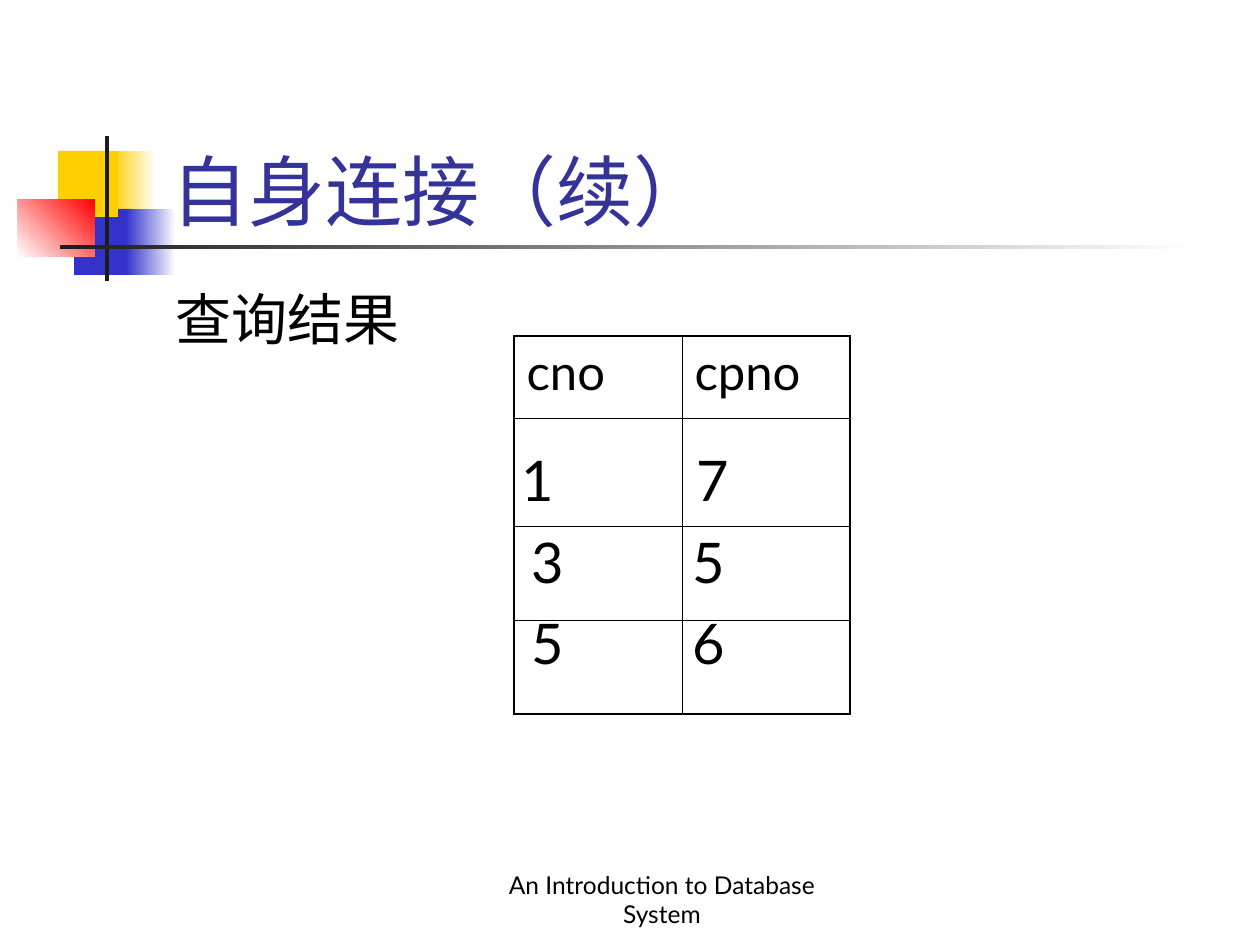
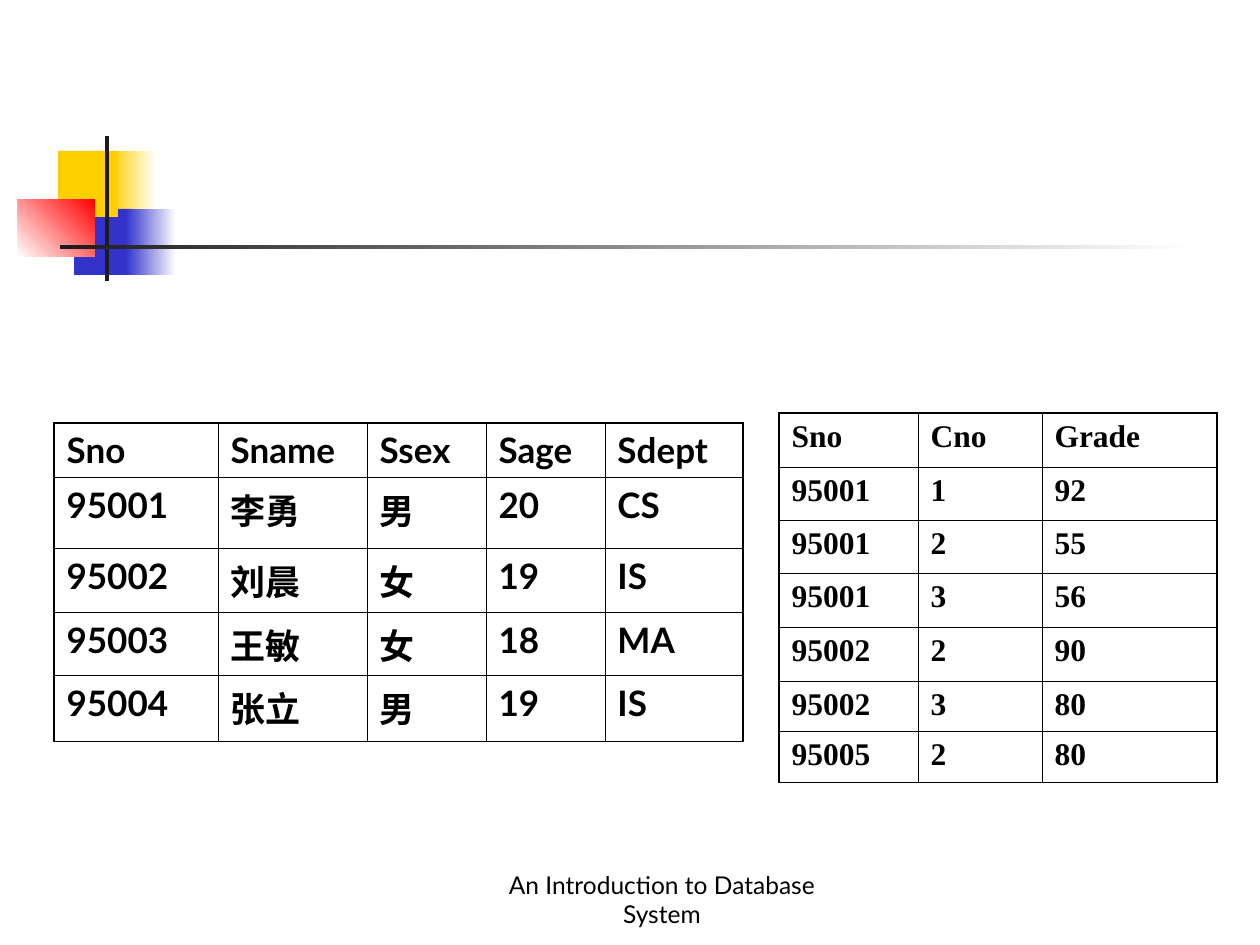
from dataclasses import dataclass

from pptx import Presentation
from pptx.dml.color import RGBColor
from pptx.enum.shapes import MSO_SHAPE
from pptx.enum.text import MSO_ANCHOR, PP_ALIGN
from pptx.oxml.ns import qn
from pptx.util import Emu, Pt
from lxml.etree import SubElement

PX_PER_INCH = 126


def px(length):
    return Emu(round(length * 914400 / PX_PER_INCH))


@dataclass(frozen=True)
class Theme:
    white: str = "FFFFFF"
    ink: str = "000000"
    title: str = "333399"
    yellow: str = "FFCF01"
    blue: str = "3333CC"
    red: str = "FF0000"
    rule: str = "1C1C1C"
    font: str = "Lato"
    serif: str = "Times New Roman"
    title_size: int = 44
    body_size: int = 32
    heading_size: int = 28
    student_size: int = 20
    grade_size: int = 18
    footer_size: int = 14
    outer_line: float = 1.08
    inner_line: float = 0.45


class Deck:
    def __init__(self, theme):
        self.theme = theme
        self.presentation = Presentation()
        self.presentation.slide_width = px(10 * PX_PER_INCH)
        self.presentation.slide_height = px(7.5 * PX_PER_INCH)
        self.slide = None

    def new_slide(self):
        self.slide = self.presentation.slides.add_slide(self.presentation.slide_layouts[6])
        self.ornament()

    def run(self, paragraph, text, size, color=None, font=None, bold=False):
        run = paragraph.add_run()
        run.text = text
        run.font.size = Pt(size)
        run.font.name = font or self.theme.font
        run.font.bold = bold
        run.font.color.rgb = RGBColor.from_string(color or self.theme.ink)

    def block(self, box, *colors, angle=0):
        """One colour gives a solid rectangle, two give a gradient."""
        shape = self.slide.shapes.add_shape(MSO_SHAPE.RECTANGLE, *map(px, box))
        shape.shadow.inherit = False
        shape.line.fill.background()
        if len(colors) == 1:
            shape.fill.solid()
            shape.fill.fore_color.rgb = RGBColor.from_string(colors[0])
        else:
            shape.fill.gradient()
            shape.fill.gradient_angle = angle
            for stop, color in zip(shape.fill.gradient_stops, colors):
                stop.color.rgb = RGBColor.from_string(color)
        return shape

    def ornament(self):
        t = self.theme
        self.block((111, 151, 45, 66), t.yellow, t.white)
        self.block((74, 209, 58, 66), t.blue)
        self.block((58, 151, 60, 66), t.yellow)
        self.block((126, 209, 50, 66), t.blue, t.white)
        self.block((18, 199, 77, 58), t.white, t.red, angle=45)
        self.block((105, 136, 4, 145), t.rule)
        self.block((60, 245, 1134, 4), t.rule, t.white)

    def text_box(self, box, text, size, color=None, anchor=MSO_ANCHOR.TOP):
        frame = self.slide.shapes.add_textbox(*map(px, box)).text_frame
        frame.word_wrap = True
        frame.vertical_anchor = anchor
        self.run(frame.paragraphs[0], text, size, color)
        return frame

    def title(self, text):
        self.text_box((159, 84, 1074, 158), text, self.theme.title_size,
                      self.theme.title, MSO_ANCHOR.BOTTOM)

    def tabbed_line(self, frame, values, stops, space_before):
        paragraph = frame.add_paragraph()
        paragraph.space_before = Pt(space_before)
        tabs = SubElement(paragraph._p.get_or_add_pPr(), qn("a:tabLst"))
        for stop in stops:
            SubElement(tabs, qn("a:tab"), pos=str(px(stop)), algn="l")
        self.run(paragraph, "".join("\t" + value for value in values), self.theme.body_size)

    def footer(self, text):
        frame = self.block((462, 872, 400, 63), self.theme.white).text_frame
        frame.word_wrap = True
        frame.vertical_anchor = MSO_ANCHOR.BOTTOM
        frame.paragraphs[0].alignment = PP_ALIGN.CENTER
        self.run(frame.paragraphs[0], text, self.theme.footer_size)

    def borders(self, cell, heavy_sides):
        properties = cell._tc.get_or_add_tcPr()
        for position, side in enumerate("LRTB"):
            weight = self.theme.outer_line if side in heavy_sides else self.theme.inner_line
            line = properties.makeelement(qn("a:ln" + side), {"w": str(Pt(weight))})
            fill = SubElement(line, qn("a:solidFill"))
            SubElement(fill, qn("a:srgbClr"), val=self.theme.ink)
            properties.insert(position, line)

    def table(self, left, top, widths, heights, records, size, font=None, bold=True,
              heavy_rows=()):
        """Heavy outer frame; heavy_rows adds a heavy line above those rows."""
        last_row, last_column = len(heights) - 1, len(widths) - 1
        box = (left, top, sum(widths), sum(heights))
        table = self.slide.shapes.add_table(len(heights), len(widths), *map(px, box)).table
        table.first_row = table.horz_banding = False
        for column, width in zip(table.columns, widths):
            column.width = px(width)
        for r, height in enumerate(heights):
            table.rows[r].height = px(height)
            for c in range(len(widths)):
                cell = table.cell(r, c)
                cell.fill.background()
                heavy = {"L": c == 0, "R": c == last_column,
                         "T": r == 0 or r in heavy_rows,
                         "B": r == last_row or r + 1 in heavy_rows}
                self.borders(cell, [side for side, on in heavy.items() if on])
                if r < len(records):
                    self.run(cell.text_frame.paragraphs[0], records[r][c], size,
                             font=font, bold=bold)


def main():
    theme = Theme()
    deck = Deck(theme)
    course = "An Introduction to Database System"

    # Slide 1: result of the self join
    deck.new_slide()
    deck.title("自身连接（续）")
    result = deck.text_box((163, 278, 1071, 525), "查询结果", theme.body_size)
    deck.tabbed_line(result, ("1", "7"), (346, 521), space_before=54)
    for pair in (("3", "5"), ("5", "6")):
        deck.tabbed_line(result, pair, (356, 517), space_before=8)
    deck.table(514, 336, [168] * 2, [82, 108, 94, 94], [("cno", "cpno")],
               theme.heading_size, bold=False)
    deck.footer(course)

    # Slide 2: student and grade tables
    deck.new_slide()
    students = [
        ("Sno", "Sname", "Ssex", "Sage", "Sdept"),
        ("95001", "李勇", "男", "20", "CS"),
        ("95002", "刘晨", "女", "19", "IS"),
        ("95003", "王敏", "女", "18", "MA"),
        ("95004", "张立", "男", "19", "IS"),
    ]
    deck.table(54, 423, [164, 149, 119, 119, 138], [54, 71, 64, 63, 66], students,
               theme.student_size)
    grades = [
        ("Sno", "Cno", "Grade"),
        ("95001", "1", "92"),
        ("95001", "2", "55"),
        ("95001", "3", "56"),
        ("95002", "2", "90"),
        ("95002", "3", "80"),
        ("95005", "2", "80"),
    ]
    deck.table(779, 413, [139, 124, 175], [54, 53, 53, 54, 54, 50, 51], grades,
               theme.grade_size, font=theme.serif, heavy_rows=(6,))
    deck.footer(course)

    deck.presentation.save("out.pptx")


if __name__ == "__main__":
    main()
